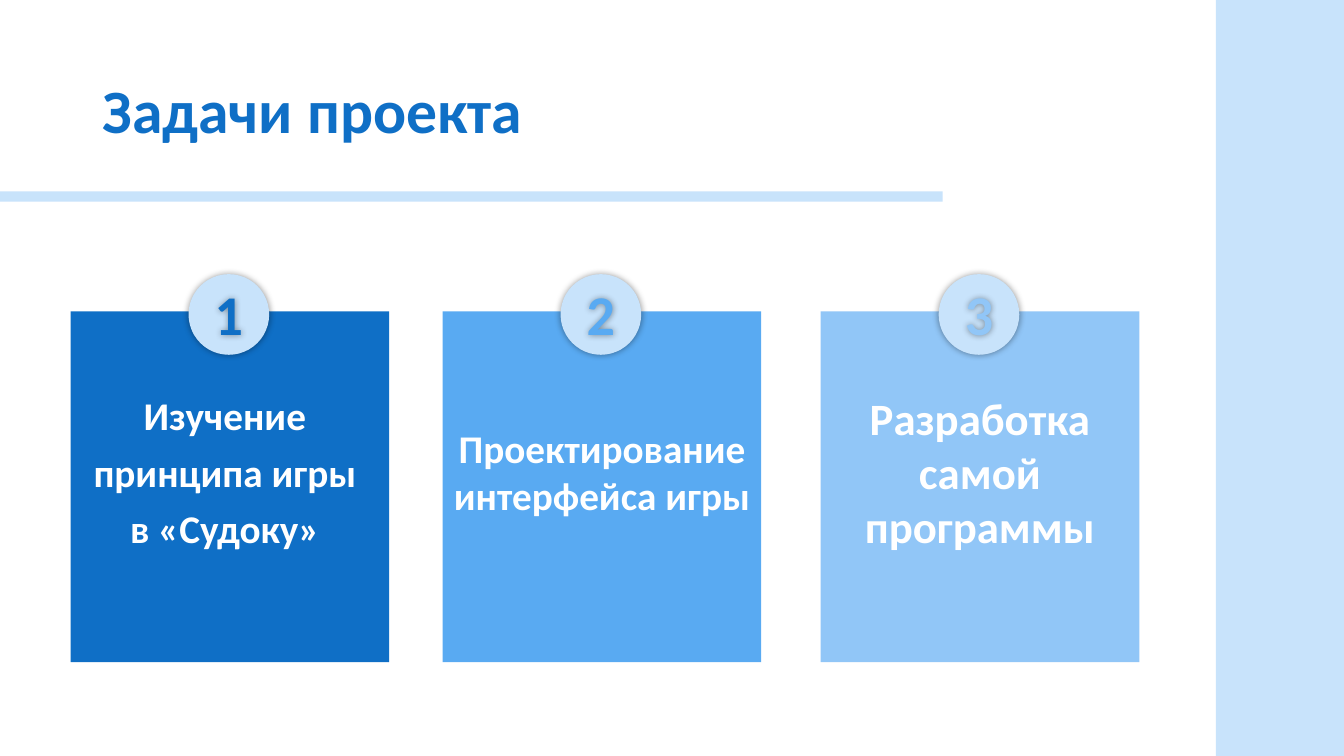
from dataclasses import dataclass

from lxml.etree import SubElement
from pptx import Presentation
from pptx.dml.color import RGBColor
from pptx.enum.shapes import MSO_SHAPE
from pptx.enum.text import MSO_ANCHOR, PP_ALIGN
from pptx.oxml.ns import qn
from pptx.shapes.autoshape import Shape
from pptx.slide import Slide
from pptx.util import Inches, Pt

COLORS = {
    "pale": "C8E3FB",
    "dark": "0F6FC6",
    "medium": "59AAF2",
    "light": "91C6F7",
    "white": "FFFFFF",
    "black": "000000",
}
CARD_TOP, CARD_WIDTH, CARD_HEIGHT = 3.09, 3.16, 3.48
BADGE_TOP, BADGE_SIZE = 2.72, 0.8


@dataclass
class Task:
    number: str
    left: float
    color: str
    text: str = ""
    size: int = 28


TASKS = [
    Task("1", 0.7, "dark"),
    Task("2", 4.39, "medium", "Проектирование интерфейса игры"),
    Task("3", 8.14, "light", "Разработка самой программы", 32),
]
FIRST_TASK_LINES = ["Изучение", "принципа игры", "в «Судоку»"]


def add_block(s: Slide, kind: MSO_SHAPE, left: float, top: float,
              width: float, height: float, color: str) -> Shape:
    sp = s.shapes.add_shape(kind, Inches(left), Inches(top), Inches(width), Inches(height))
    sp.shadow.inherit = False
    sp.fill.solid()
    sp.fill.fore_color.rgb = RGBColor.from_string(COLORS[color])
    sp.line.fill.background()
    return sp


def add_text(s: Slide, left: float, top: float, width: float, height: float) -> Shape:
    sp = s.shapes.add_textbox(Inches(left), Inches(top), Inches(width), Inches(height))
    sp.text_frame.word_wrap = True
    return sp


def write(sp: Shape, text: str, size: int, color: str,
          align: PP_ALIGN = PP_ALIGN.CENTER) -> None:
    tf = sp.text_frame
    tf.text = text
    for p in tf.paragraphs:
        p.alignment = align
        for r in p.runs:
            r.font.name = "Calibri"
            r.font.size = Pt(size)
            r.font.bold = True
            r.font.color.rgb = RGBColor.from_string(COLORS[color])


def add_shadow(sp: Shape) -> None:
    sp.shadow.inherit = False
    effects = sp.element.spPr.find(qn("a:effectLst"))
    shadow = SubElement(effects, qn("a:outerShdw"), blurRad=str(Pt(5)), dist="0", dir="0")
    color = SubElement(shadow, qn("a:srgbClr"), val=COLORS["black"])
    SubElement(color, qn("a:alpha"), val="40000")


def add_task(s: Slide, task: Task) -> None:
    card = add_block(s, MSO_SHAPE.RECTANGLE, task.left, CARD_TOP,
                     CARD_WIDTH, CARD_HEIGHT, task.color)
    if task.text:
        tf = card.text_frame
        tf.word_wrap = True
        tf.vertical_anchor = MSO_ANCHOR.MIDDLE
        tf.margin_bottom = Inches(0.35)
        write(card, task.text, task.size, "white")
    badge_left = task.left + 1.17
    badge = add_block(s, MSO_SHAPE.OVAL, badge_left, BADGE_TOP, BADGE_SIZE, BADGE_SIZE, "pale")
    add_shadow(badge)
    number = add_text(s, badge_left, BADGE_TOP, BADGE_SIZE, 0.77)
    write(number, task.number, 40, task.color)
    add_shadow(number)


def main() -> None:
    prs = Presentation()
    prs.slide_width, prs.slide_height = Inches(13.33), Inches(7.5)
    s = prs.slides.add_slide(prs.slide_layouts[6])

    add_block(s, MSO_SHAPE.RECTANGLE, 12.06, 0, 1.27, 7.5, "pale")
    add_block(s, MSO_SHAPE.RECTANGLE, 0, 1.9, 9.35, 0.1, "pale")

    title = add_text(s, 0.92, 0.4, 11.5, 1.45)
    title.text_frame.vertical_anchor = MSO_ANCHOR.MIDDLE
    write(title, "Задачи проекта", 44, "dark", PP_ALIGN.LEFT)
    title.text_frame.paragraphs[0].line_spacing = 0.9

    for task in TASKS:
        add_task(s, task)

    first_task = add_text(s, 0.58, 3.89, 3.3, 2.92)
    write(first_task, "\n".join(FIRST_TASK_LINES), 28, "white")
    for p in first_task.text_frame.paragraphs:
        p.line_spacing = 0.9
        p.space_before = Pt(10)

    prs.save("out.pptx")


if __name__ == "__main__":
    main()
